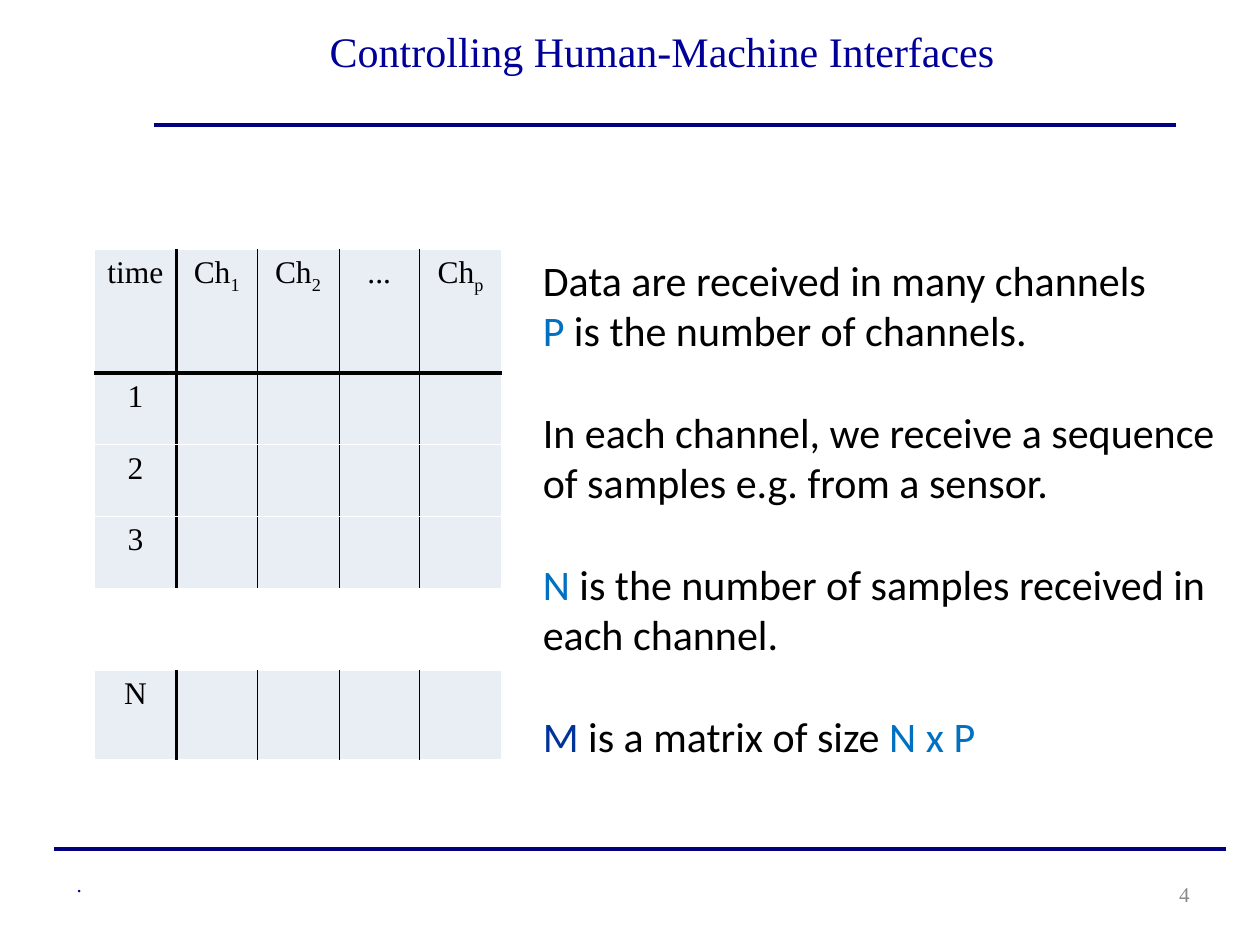
from pptx import Presentation
from pptx.dml.color import RGBColor
from pptx.enum.shapes import MSO_CONNECTOR
from pptx.enum.text import MSO_ANCHOR, MSO_AUTO_SIZE, PP_ALIGN
from pptx.oxml.ns import qn
from pptx.util import Inches, Pt
from lxml import etree

STRAIGHT = MSO_CONNECTOR.STRAIGHT
MIDDLE = MSO_ANCHOR.MIDDLE
NO_AUTOFIT = MSO_AUTO_SIZE.NONE
CENTER, LEFT, RIGHT = PP_ALIGN.CENTER, PP_ALIGN.LEFT, PP_ALIGN.RIGHT

SERIF, SANS = "Times New Roman", "Calibri"
BLACK, WHITE, NAVY, TITLE_BLUE = "000000", "FFFFFF", "000080", "000099"
BLUE, DARK_BLUE, GRAY, CELL_FILL = "0070C0", "003399", "898989", "E9EDF4"
THIN, HEAVY = 0.45, 2.21


def add_run(paragraph, text, size, font_name, color):
    run = paragraph.add_run()
    run.text = text
    run.font.size = Pt(size)
    run.font.name = font_name
    run.font.color.rgb = RGBColor.from_string(color)
    return run


def set_border(cell, side, color, width):
    """Draw one cell edge; side is L, R, T or B, width is in points."""
    line = etree.SubElement(cell._tc.get_or_add_tcPr(), qn(f"a:ln{side}"), w=str(Pt(width)))
    fill = etree.SubElement(line, qn("a:solidFill"))
    etree.SubElement(fill, qn("a:srgbClr"), val=color)


presentation = Presentation()
presentation.slide_width = Inches(10)
presentation.slide_height = Inches(7.5)
slide = presentation.slides.add_slide(presentation.slide_layouts[5])

# Rules under the title and above the footer
for left, right, y in [(0.43, 9.73, 6.74), (1.22, 9.33, 0.99)]:
    rule = slide.shapes.add_connector(STRAIGHT, Inches(left), Inches(y), Inches(right), Inches(y))
    rule.line.color.rgb = RGBColor.from_string(NAVY)
    rule.line.width = Pt(2.25)
    etree.SubElement(rule._element.spPr, qn("a:effectLst"))

# Footer mark and slide number
for text, left, top, width, alignment, color in [
    (".", 0.51, 6.82, 2.12, LEFT, TITLE_BLUE),
    ("4", 9.1, 6.9, 0.44, RIGHT, GRAY),
]:
    footer = slide.shapes.add_textbox(Inches(left), Inches(top), Inches(width), Inches(0.4))
    footer.text_frame.word_wrap = True
    footer.text_frame.vertical_anchor = MIDDLE
    paragraph = footer.text_frame.paragraphs[0]
    paragraph.alignment = alignment
    add_run(paragraph, text, 12, SERIF, color)

# Title, raised within its box by the bottom inset
title = slide.shapes.title
title.left, title.top = Inches(1.26), Inches(0.32)
title.width, title.height = Inches(7.99), Inches(0.52)
frame = title.text_frame
frame.auto_size = NO_AUTOFIT
frame.vertical_anchor = MIDDLE
frame.margin_left = frame.margin_right = frame.margin_top = 0
frame.margin_bottom = Inches(0.36)
frame.paragraphs[0].alignment = CENTER
add_run(frame.paragraphs[0], "Controlling Human-Machine Interfaces", 24, SERIF, TITLE_BLUE)

# Sample matrix: the first rows, then the last row after a gap
# A cell text is a (base, subscript) pair
header = [("time", ""), ("Ch", "1"), ("Ch", "2"), ("...", ""), ("Ch", "p")]
column_widths = [0.65, 0.64, 0.65, 0.64, 0.65]
last_column = len(column_widths) - 1
for top, row_heights, rows in [
    (1.98, [0.98, 0.57, 0.57, 0.57], [header, [("1", "")], [("2", "")], [("3", "")]]),
    (5.32, [0.71], [[("N", "")]]),
]:
    table = slide.shapes.add_table(
        len(rows), len(column_widths), Inches(0.75), Inches(top),
        Inches(sum(column_widths)), Inches(sum(row_heights)),
    ).table
    table.first_row = table.horz_banding = False
    for column, width in zip(table.columns, column_widths):
        column.width = Inches(width)
    for row_index, (texts, height) in enumerate(zip(rows, row_heights)):
        table.rows[row_index].height = Inches(height)
        below_header = row_index > 0 and rows[row_index - 1] is header
        for column_index in range(len(column_widths)):
            cell = table.cell(row_index, column_index)
            cell.margin_left = cell.margin_right = Inches(0.05)
            set_border(cell, "L", WHITE if column_index == 0 else BLACK,
                       HEAVY if column_index == 1 else THIN)
            set_border(cell, "R", WHITE if column_index == last_column else BLACK,
                       HEAVY if column_index == 0 else THIN)
            for side, heavy in [("T", below_header), ("B", texts is header)]:
                set_border(cell, side, BLACK if heavy else WHITE, HEAVY if heavy else THIN)
            cell.fill.solid()
            cell.fill.fore_color.rgb = RGBColor.from_string(CELL_FILL)
            if column_index < len(texts):
                base, subscript = texts[column_index]
                paragraph = cell.text_frame.paragraphs[0]
                paragraph.alignment = CENTER
                add_run(paragraph, base, 18, SERIF, BLACK)
                if subscript:
                    run = add_run(paragraph, subscript, 18, SERIF, BLACK)
                    run._r.get_or_add_rPr().set("baseline", "-25000")

# Explanation beside the matrix: space before in points, then coloured runs
explanation = [
    (0, [("Data are received in many channels", BLACK)]),
    (0, [("P", BLUE), (" is the number of channels.", BLACK)]),
    (29.3, [("In each channel, we receive a sequence of samples e.g. from a sensor.", BLACK)]),
    (29.3, [("N", BLUE), (" is the number of samples received in each channel.", BLACK)]),
    (29.3, [("M", DARK_BLUE), (" is a matrix of size ", BLACK), ("N x P", BLUE)]),
]
text_box = slide.shapes.add_textbox(Inches(4.21), Inches(1.97), Inches(5.56), Inches(4.1))
frame = text_box.text_frame
frame.word_wrap = True
for index, (space_before, runs) in enumerate(explanation):
    paragraph = frame.add_paragraph() if index else frame.paragraphs[0]
    if space_before:
        paragraph.space_before = Pt(space_before)
    for text, color in runs:
        add_run(paragraph, text, 24, SANS, color)

presentation.save("out.pptx")
